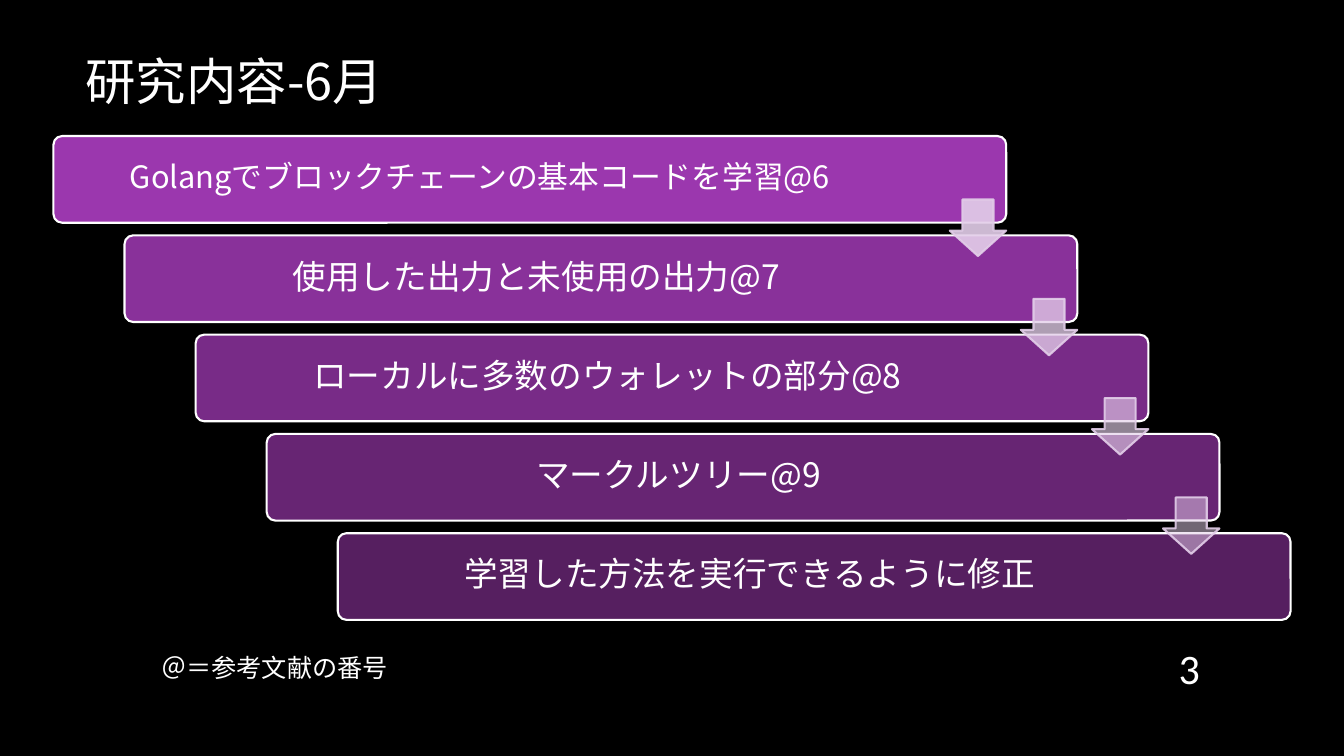
from lxml import etree
from pptx import Presentation
from pptx import util as u
from pptx.dml.color import RGBColor
from pptx.enum import shapes, text
from pptx.oxml.ns import qn

HUE = {"back": "000000", "ink": "FFFFFF", "bar": "AC3EC1", "arrow": "E3CEE9"}
CJK = "Noto Sans CJK JP"
STEPS = [
    ("Golangでブロックチェーンの基本コードを学習@6", 22, 8.42),
    ("使用した出力と未使用の出力@7", 24, 8.13),
    ("ローカルに多数のウォレットの部分@8", 24, 8.13),
    ("マークルツリー@9", 24, 8.13),
    ("学習した方法を実行できるように修正", 24, 8.13),
]


def tint(fill, key, alpha=100):
    """Fill with a palette colour at a percentage of opacity."""
    fill.solid()
    fill.fore_color.rgb = RGBColor.from_string(HUE[key])
    if alpha < 100:
        hue = fill._xPr.find(qn("a:solidFill"))[0]
        etree.SubElement(hue, qn("a:alpha")).set("val", str(alpha * 1000))


def label(host, box, words, size, font=CJK, align=text.PP_ALIGN.LEFT,
          anchor=text.MSO_ANCHOR.MIDDLE, pad=0.1):
    """Add a one-paragraph text box and return its paragraph."""
    frame = host.add_textbox(*map(u.Inches, box)).text_frame
    frame.word_wrap = True
    frame.vertical_anchor = anchor
    frame.margin_left = frame.margin_right = u.Inches(pad)
    frame.margin_top = frame.margin_bottom = u.Inches(min(pad, box[3] / 8))
    para = frame.paragraphs[0]
    para.text = words
    para.alignment = align
    para.font.size = u.Pt(size)
    para.font.name = font
    tint(para.font.fill, "ink")
    props = para._p.pPr.find(qn("a:defRPr"))
    etree.SubElement(props, qn("a:ea")).set("typeface", font)
    return para


def block(host, kind, box, adjs, fill, line):
    """Add a preset shape; fill and line are colour and opacity pairs."""
    shape = host.add_shape(kind, *map(u.Inches, box))
    shape.shadow.inherit = False
    for i, adj in enumerate(adjs):
        shape.adjustments[i] = adj
    tint(shape.fill, *fill)
    tint(shape.line.fill, *line)
    shape.line.width = u.Pt(1.5)


def stairs(slide, left, top, width, height):
    """Draw the steps as descending bars joined by arrows."""
    host = slide.shapes.add_group_shape().shapes
    wide, high, side = 9.45, 0.86, 0.56
    last = len(STEPS) - 1
    dx, dy = (width - wide) / last, (height - high) / last
    for i, (words, size, span) in enumerate(STEPS):
        x, y = left + i * dx, top + i * dy
        block(host, shapes.MSO_SHAPE.ROUNDED_RECTANGLE, (x, y, wide, high),
              [0.1], ("bar", 90 - 10 * i), ("ink",))
        para = label(host, (x + 0.02, y + 0.02, span, 0.81), words, size,
                     align=text.PP_ALIGN.CENTER)
        para.line_spacing = 0.9
    for i in range(last):
        x, y = left + i * dx + wide - side, top + i * dy + 0.63
        block(host, shapes.MSO_SHAPE.DOWN_ARROW, (x, y, side, side),
              [0.55, 0.45], ("arrow", round(90 - 40 * i / (last - 1))),
              ("arrow", 90))


def foot(slide, left, top, width, height):
    """Place the reference note on the left and the page number on the right."""
    label(slide.shapes, (left, top, 2.52, height), "＠＝参考文献の番号", 18,
          anchor=text.MSO_ANCHOR.TOP)
    label(slide.shapes, (left + width - 0.6, top, 0.6, height), "3", 30,
          "Calibri", text.PP_ALIGN.RIGHT)


def main():
    """Build and save the slide."""
    deck = Presentation()
    deck.slide_width, deck.slide_height = u.Inches(13.33), u.Inches(7.5)
    slide = deck.slides.add_slide(deck.slide_layouts[6])
    tint(slide.background.fill, "back")
    label(slide.shapes, (0.75, 0, 11.08, 1.59), "研究内容-6月", 36)
    stairs(slide, 0.53, 1.35, 12.27, 4.8)
    foot(slide, 1.5, 6.42, 10.5, 0.4)
    deck.save("out.pptx")


if __name__ == "__main__":
    main()
